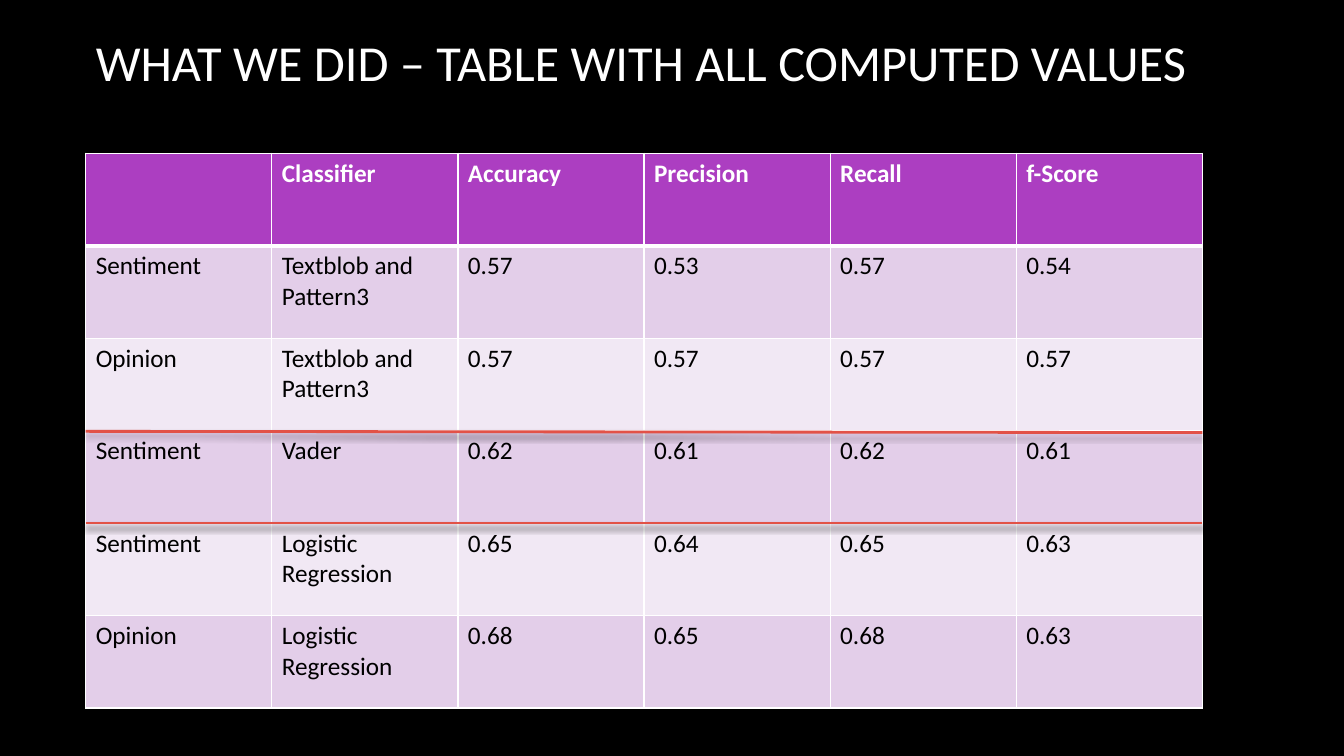
"""Build the slide that tabulates every computed classifier score."""
from typing import NamedTuple

import pptx
import pptx.dml.color
import pptx.enum.shapes
import pptx.enum.text
import pptx.oxml
import pptx.oxml.ns
import pptx.util
from pptx.util import Cm

WHITE, BLACK, PURPLE, RED = "FFFFFF", "000000", "AC3EC1", "E25247"
BANDS = ("E3CEE9", "F1E8F4")
LEFT, TOP, COLUMN_WIDTH, ROW_HEIGHT = 2.16, 3.86, 4.69, 2.33
HEADINGS = ("", "Classifier", "Accuracy", "Precision", "Recall", "f-Score")
WIDTH = COLUMN_WIDTH * len(HEADINGS)


class Score(NamedTuple):
    """One result row of the table."""
    task: str
    classifier: str
    accuracy: str
    precision: str
    recall: str
    f_score: str


class Divider(NamedTuple):
    """A rule across the table, with its height at either end in cm."""
    start: float
    end: float


SCORES = (
    Score("Sentiment", "Textblob and Pattern3", "0.57", "0.53", "0.57", "0.54"),
    Score("Opinion", "Textblob and Pattern3", "0.57", "0.57", "0.57", "0.57"),
    Score("Sentiment", "Vader", "0.62", "0.61", "0.62", "0.61"),
    Score("Sentiment", "Logistic Regression", "0.65", "0.64", "0.65", "0.63"),
    Score("Opinion", "Logistic Regression", "0.68", "0.65", "0.68", "0.63"),
)
VADER_DIVIDERS = (Divider(10.87, 10.9), Divider(13.18, 13.18))


def color(value: str) -> pptx.dml.color.RGBColor:
    """Turn a hex string into a colour."""
    return pptx.dml.color.RGBColor.from_string(value)


def write(frame, text: str, *, size: float, fill: str, bold: bool = False) -> None:
    """Put left-aligned formatted text into a text frame."""
    paragraph = frame.paragraphs[0]
    paragraph.alignment = pptx.enum.text.PP_ALIGN.LEFT
    run = paragraph.add_run()
    run.text = text
    run.font.name = "Calibri"
    run.font.size = pptx.util.Pt(size)
    run.font.bold = bold
    run.font.color.rgb = color(fill)


def set_borders(cell, top: float, bottom: float) -> None:
    """Give a cell white borders, with top and bottom widths in points."""
    properties = cell._tc.get_or_add_tcPr()
    for index, (side, width) in enumerate(
            (("L", 1), ("R", 1), ("T", top), ("B", bottom))):
        properties.insert(index, pptx.oxml.parse_xml(
            f'<a:ln{side} {pptx.oxml.ns.nsdecls("a")} w="{pptx.util.Pt(width)}">'
            f'<a:solidFill><a:srgbClr val="{WHITE}"/></a:solidFill></a:ln{side}>'))


def add_scores(slide) -> None:
    """Draw the header row and the banded score rows."""
    rows = (HEADINGS, *SCORES)
    table = slide.shapes.add_table(
        len(rows), len(HEADINGS), Cm(LEFT), Cm(TOP),
        Cm(WIDTH), Cm(ROW_HEIGHT * len(rows))).table
    table.horz_banding = False
    for column in table.columns:
        column.width = Cm(COLUMN_WIDTH)
    for row_index, values in enumerate(rows):
        table.rows[row_index].height = Cm(ROW_HEIGHT)
        header = row_index == 0
        for column_index, value in enumerate(values):
            cell = table.cell(row_index, column_index)
            cell.fill.solid()
            cell.fill.fore_color.rgb = color(
                PURPLE if header else BANDS[(row_index - 1) % 2])
            set_borders(cell, top=3 if row_index == 1 else 1,
                        bottom=3 if header else 1)
            if value:
                write(cell.text_frame, value, size=18,
                      fill=WHITE if header else BLACK, bold=header)


def add_divider(slide, divider: Divider) -> None:
    """Draw a red rule with a soft shadow below it."""
    rule = slide.shapes.add_connector(
        pptx.enum.shapes.MSO_CONNECTOR.STRAIGHT, Cm(LEFT), Cm(divider.start),
        Cm(LEFT + WIDTH), Cm(divider.end))
    rule.line.color.rgb = color(RED)
    rule.line.width = pptx.util.Pt(2)
    rule._element.spPr.append(pptx.oxml.parse_xml(
        f'<a:effectLst {pptx.oxml.ns.nsdecls("a")}>'
        f'<a:outerShdw blurRad="{pptx.util.Pt(4)}" dist="{pptx.util.Pt(3)}" '
        f'dir="5400000" rotWithShape="0"><a:srgbClr val="{BLACK}">'
        '<a:alpha val="35000"/></a:srgbClr></a:outerShdw></a:effectLst>'))


def add_title(slide, text: str) -> None:
    """Place and format the slide title."""
    title = slide.shapes.title
    title.left, title.top = Cm(LEFT), Cm(-0.48)
    title.width, title.height = Cm(WIDTH), Cm(4.04)
    frame = title.text_frame
    frame.word_wrap = True
    frame.auto_size = pptx.enum.text.MSO_AUTO_SIZE.NONE
    frame.vertical_anchor = pptx.enum.text.MSO_ANCHOR.MIDDLE
    write(frame, text, size=36, fill=WHITE)


def main() -> None:
    """Assemble and save the presentation."""
    deck = pptx.Presentation()
    deck.slide_width, deck.slide_height = Cm(33.87), Cm(19.05)
    slide = deck.slides.add_slide(deck.slide_layouts.get_by_name("Title Only"))
    slide.background.fill.solid()
    slide.background.fill.fore_color.rgb = color(BLACK)
    add_title(slide, "WHAT WE DID – TABLE WITH ALL COMPUTED VALUES")
    add_scores(slide)
    for divider in VADER_DIVIDERS:
        add_divider(slide, divider)
    deck.save("out.pptx")


main()
